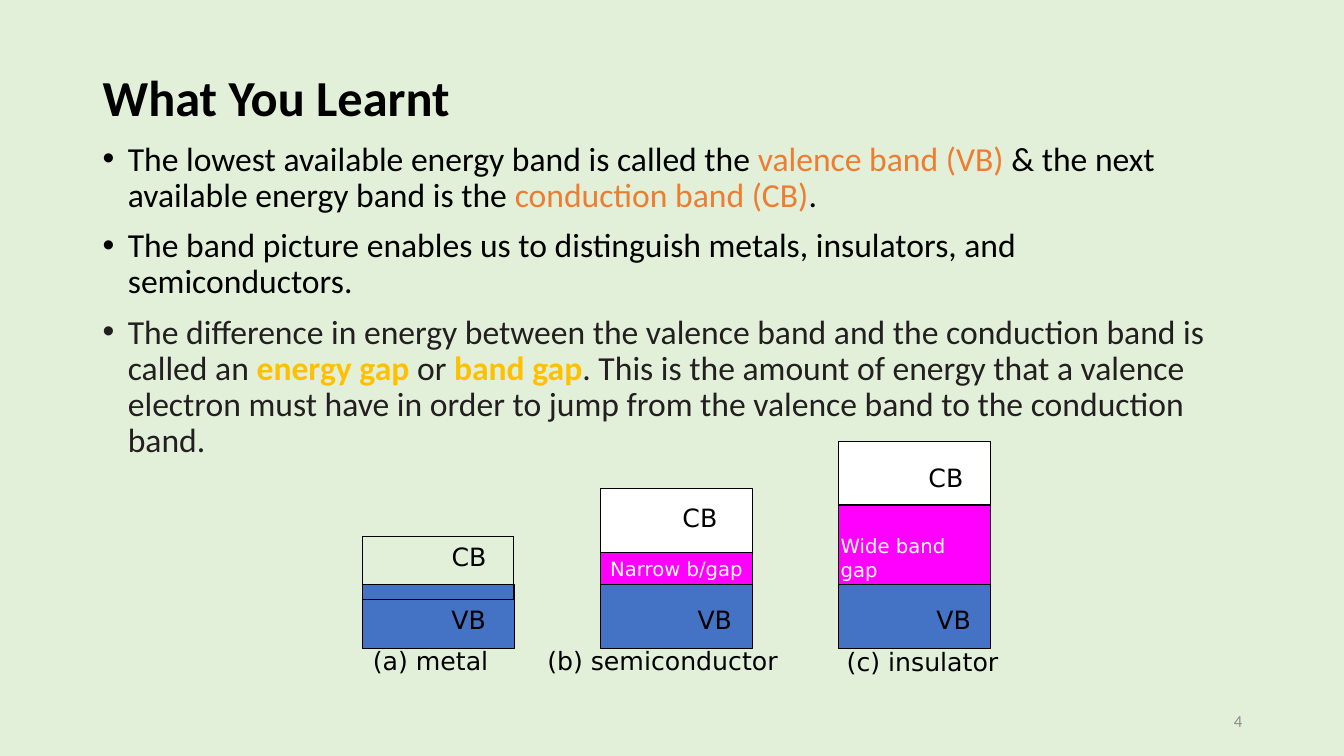
from dataclasses import dataclass

from lxml import etree
from pptx import Presentation
from pptx import util as u
from pptx.dml.color import RGBColor
from pptx.enum import shapes, text
from pptx.oxml import ns

PX = 9144  # EMU in one px, 100 px to the inch


@dataclass(frozen=True)
class Theme:
    background: str = "E2F0D9"
    black: str = "000000"
    dark: str = "231F20"
    orange: str = "ED7D31"
    gold: str = "FFC000"
    white: str = "FFFFFF"
    blue: str = "4472C4"
    magenta: str = "FF00FF"
    gray: str = "8C8C8C"
    body_font: str = "Calibri"
    label_font: str = "DejaVu Sans"
    title_size: int = 36
    body_size: int = 24
    label_size: int = 18
    gap_size: int = 14
    number_size: int = 12
    line_width: float = 0.75


THEME = Theme()

# Each bullet is a list of (text, colour, bold)
BULLETS = [
    [("The lowest available energy band is called the ", THEME.black, False),
     ("valence band (VB)", THEME.orange, False),
     (" & the next available energy band is the ", THEME.black, False),
     ("conduction band (CB)", THEME.orange, False),
     (".", THEME.black, False)],
    [("The band picture enables us to distinguish metals, insulators, "
      "and semiconductors.", THEME.black, False)],
    [("The difference in energy between the valence band and the conduction "
      "band is called an ", THEME.dark, False),
     ("energy gap ", THEME.gold, True),
     ("or ", THEME.dark, False),
     ("band gap", THEME.gold, True),
     (". This is the amount of energy that a valence electron must have in "
      "order to jump from the valence band to the conduction band.",
      THEME.dark, False)],
]

# Band diagrams
BAND_WIDTH, BAND_HEIGHT = 150, 63
VALENCE_TOP = 580
METAL_X, SEMICONDUCTOR_X, INSULATOR_X = (360 + 236 * i for i in range(3))


def px(*lengths):
    return [u.Emu(length * PX) for length in lengths]


def color(value):
    return RGBColor.from_string(value)


def add_run(paragraph, content, *, size, fill, font, bold=False):
    run = paragraph.add_run()
    run.text = content
    run.font.name = font
    run.font.size = u.Pt(size)
    run.font.bold = bold
    run.font.color.rgb = color(fill)


def add_text(slide, content, box, *, size=THEME.label_size, fill=THEME.black,
             font=THEME.label_font, bold=False, wrap=False,
             anchor=text.MSO_ANCHOR.TOP, align=text.PP_ALIGN.LEFT):
    frame = slide.shapes.add_textbox(*px(*box)).text_frame
    frame.word_wrap = wrap
    frame.vertical_anchor = anchor
    paragraph = frame.paragraphs[0]
    paragraph.alignment = align
    add_run(paragraph, content, size=size, fill=fill, font=font, bold=bold)


def add_bullets(slide, bullets, box):
    frame = slide.shapes.add_textbox(*px(*box)).text_frame
    frame.word_wrap = True
    for index, parts in enumerate(bullets):
        paragraph = frame.add_paragraph() if index else frame.paragraphs[0]
        properties = paragraph._p.get_or_add_pPr()
        properties.set("marL", str(25 * PX))
        properties.set("indent", str(-25 * PX))
        bullet_font = etree.SubElement(properties, ns.qn("a:buFont"))
        bullet_font.set("typeface", "Arial")
        etree.SubElement(properties, ns.qn("a:buChar")).set("char", "•")
        paragraph.line_spacing = 0.9
        if index:
            paragraph.space_before = u.Pt(10)
        for content, fill, bold in parts:
            add_run(paragraph, content, size=THEME.body_size, fill=fill,
                    font=THEME.body_font, bold=bold)


def add_band(slide, x, y, fill, height=BAND_HEIGHT, label=None):
    shape = slide.shapes.add_shape(shapes.MSO_SHAPE.RECTANGLE,
                                   *px(x, y, BAND_WIDTH, height))
    shape.shadow.inherit = False
    shape.fill.solid()
    shape.fill.fore_color.rgb = color(fill)
    shape.line.color.rgb = color(THEME.black)
    shape.line.width = u.Pt(THEME.line_width)
    if label:
        frame = shape.text_frame
        frame.word_wrap = False
        frame.vertical_anchor = text.MSO_ANCHOR.MIDDLE
        frame.paragraphs[0].alignment = text.PP_ALIGN.CENTER
        add_run(frame.paragraphs[0], label, size=THEME.gap_size,
                fill=THEME.white, font=THEME.label_font)


def add_line(slide, start, end):
    line = slide.shapes.add_connector(shapes.MSO_CONNECTOR.STRAIGHT,
                                      *px(*start, *end))
    line.line.color.rgb = color(THEME.black)
    line.line.width = u.Pt(THEME.line_width)
    etree.SubElement(line._element.spPr, ns.qn("a:effectLst"))


def add_diagrams(slide):
    # Valence bands
    for x in (METAL_X, SEMICONDUCTOR_X, INSULATOR_X):
        add_band(slide, x, VALENCE_TOP, THEME.blue)

    # Conduction bands and gaps
    add_band(slide, SEMICONDUCTOR_X, 485, THEME.white)
    add_band(slide, INSULATOR_X, 438, THEME.white)
    add_band(slide, SEMICONDUCTOR_X, 548, THEME.magenta, 32, "Narrow b/gap")
    add_band(slide, INSULATOR_X, 501, THEME.magenta, 79)
    add_text(slide, "Wide band gap", (824, 525, 150, 55),
             size=THEME.gap_size, fill=THEME.white, wrap=True)

    # Open conduction band that overlaps the metal's valence band
    left, right, top, bottom = METAL_X, METAL_X + BAND_WIDTH - 1, 532, 595
    corners = [(left, top), (right, top), (right, bottom), (left, bottom)]
    for start, end in zip(corners, corners[1:] + corners[:1]):
        add_line(slide, start, end)

    # Labels and captions
    for label, x, y, width in [
        ("CB", 438, 532, 55), ("CB", 667, 493, 55), ("CB", 911, 454, 55),
        ("VB", 438, 595, 54), ("VB", 682, 595, 54), ("VB", 919, 595, 54),
        ("(a) metal", 360, 635, 137),
        ("(b) semiconductor", 533, 635, 250),
        ("(c) insulator", 830, 636, 174),
    ]:
        add_text(slide, label, (x, y, width, 40))


def main():
    presentation = Presentation()
    presentation.slide_width, presentation.slide_height = px(1333, 750)
    slide = presentation.slides.add_slide(presentation.slide_layouts[6])
    slide.background.fill.solid()
    slide.background.fill.fore_color.rgb = color(THEME.background)

    # Title and text
    add_text(slide, "What You Learnt", (92, 40, 1150, 112),
             size=THEME.title_size, font=THEME.body_font, bold=True,
             wrap=True, anchor=text.MSO_ANCHOR.MIDDLE)
    add_bullets(slide, BULLETS, (92, 136, 1150, 540))

    add_diagrams(slide)

    # Slide number
    add_text(slide, "4", (942, 695, 300, 40), size=THEME.number_size,
             fill=THEME.gray, font=THEME.body_font, wrap=True,
             anchor=text.MSO_ANCHOR.MIDDLE, align=text.PP_ALIGN.RIGHT)

    presentation.save("out.pptx")


if __name__ == "__main__":
    main()
